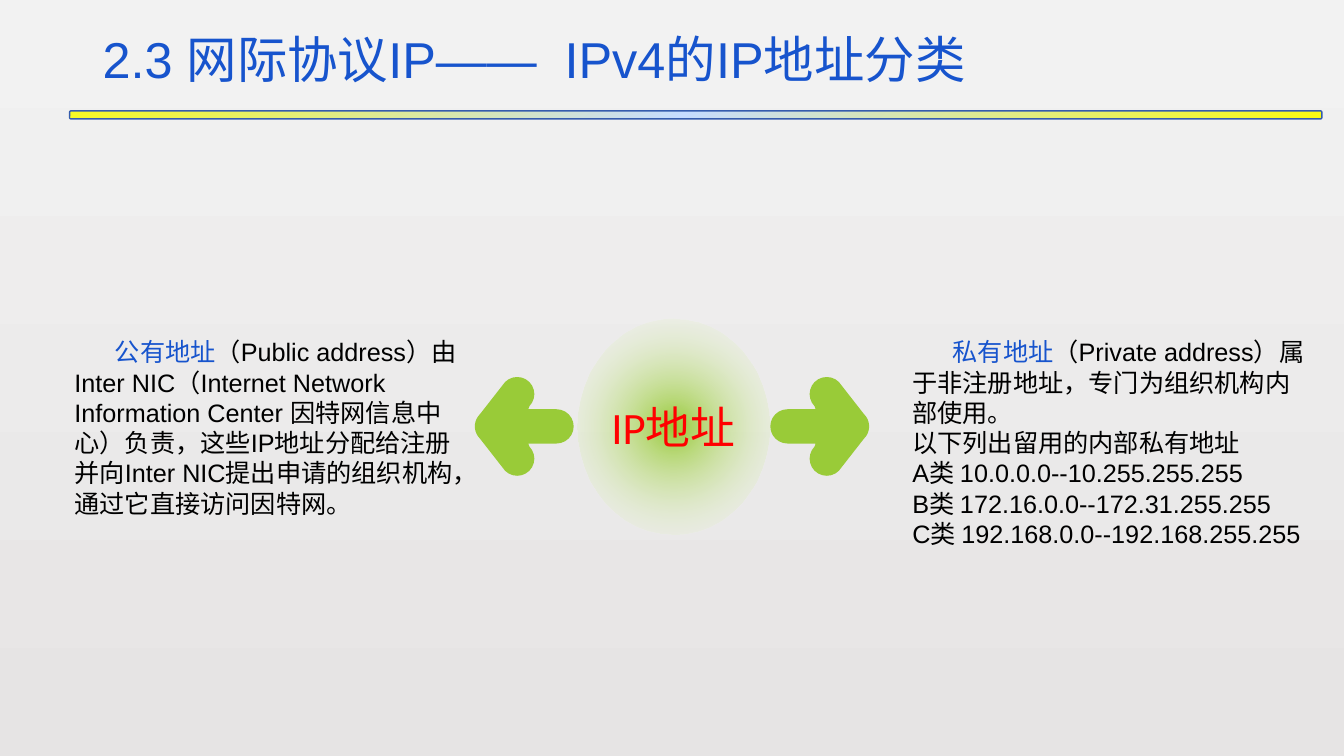
from dataclasses import dataclass
from math import cos, radians, sin

from lxml.etree import SubElement
from pptx import Presentation
from pptx.dml.color import RGBColor
from pptx.enum.shapes import MSO_SHAPE
from pptx.enum.text import MSO_ANCHOR, MSO_AUTO_SIZE, PP_ALIGN
from pptx.oxml.ns import qn
from pptx.shapes.autoshape import Shape
from pptx.slide import Slide
from pptx.text.text import Font
from pptx.util import Inches, Pt

COLORS = {
    "blue": "1754CD",
    "black": "000000",
    "red": "FF0000",
    "green": "99CB38",
    "white": "FFFFFF",
    "edge": "355CAD",
    "left": "FBFB11",
    "middle": "C6DCFF",
    "right": "F7F923",
    "top": "F2F2F2",
    "base": "E6E4E4",
}


@dataclass
class Box:
    left: float
    top: float
    width: float
    height: float

    def place(self) -> list[int]:
        return [Inches(v) for v in (self.left, self.top, self.width, self.height)]


@dataclass
class Stop:
    at: int
    color: str
    alpha: int = 100


@dataclass
class Note:
    box: Box
    term: str
    lines: list[str]


@dataclass
class Arrow:
    mid: float
    way: int


NOTES = [
    Note(
        Box(0.64, 3.29, 3.99, 1.92),
        "公有地址",
        [
            "（Public address）由Inter NIC（Internet Network Information Center "
            "因特网信息中心）负责，这些IP地址分配给注册并向Inter NIC提出申请的组织机构，"
            "通过它直接访问因特网。"
        ],
    ),
    Note(
        Box(8.95, 3.29, 4.15, 2.22),
        "私有地址",
        [
            "（Private address）属于非注册地址，专门为组织机构内部使用。",
            "以下列出留用的内部私有地址",
            "A类 10.0.0.0--10.255.255.255",
            "B类 172.16.0.0--172.31.255.255",
            "C类 192.168.0.0--192.168.255.255",
        ],
    ),
]
ARROWS = [Arrow(8.13, 1), Arrow(5.2, -1)]
ARROW_Y = 4.23


def paint(name: str) -> RGBColor:
    return RGBColor.from_string(COLORS[name])


def style(font: Font, size: int, color: str, face: str = "Arial") -> None:
    font.size = Pt(size)
    font.name = face
    font.color.rgb = paint(color)


def blend(shape: Shape, stops: list[Stop], focus: dict[str, int]) -> None:
    shape.fill.gradient()
    grad = shape._element.spPr.find(qn("a:gradFill"))
    for child in list(grad):
        grad.remove(child)
    group = SubElement(grad, qn("a:gsLst"))
    for stop in stops:
        mark = SubElement(group, qn("a:gs"), pos=str(stop.at * 1000))
        tint = SubElement(mark, qn("a:srgbClr"), val=COLORS[stop.color])
        if stop.alpha < 100:
            SubElement(tint, qn("a:alpha"), val=str(stop.alpha * 1000))
    path = SubElement(grad, qn("a:path"), path="circle")
    sides = {side: str(part * 1000) for side, part in focus.items()}
    SubElement(path, qn("a:fillToRect"), **sides)


def draw_arrow(slide: Slide, arrow: Arrow) -> None:
    reach, lobe, neck, curve = 0.32, 0.07, 0.04, 0.17
    arcs = [
        (-reach, 0, 90, 270),
        (lobe, -reach, 135, 315),
        (reach, 0, -45, 45),
        (lobe, reach, 45, 225),
    ]
    spots = []
    for x, y, start, end in arcs:
        for step in range(13):
            turn = radians(start + (end - start) * step / 12)
            spots.append((x + curve * cos(turn), y + curve * sin(turn)))
    spots.insert(13, (-neck, -curve))
    spots.append((-neck, curve))
    points = [
        (Inches(arrow.mid + arrow.way * x), Inches(ARROW_Y + y)) for x, y in spots
    ]
    form = slide.shapes.build_freeform(*points[0])
    form.add_line_segments(points[1:], close=True)
    shape = form.convert_to_shape()
    shape.shadow.inherit = False
    shape.fill.solid()
    shape.fill.fore_color.rgb = paint("green")
    shape.line.fill.background()


def draw_hub(slide: Slide, box: Box) -> None:
    hub = slide.shapes.add_shape(MSO_SHAPE.OVAL, *box.place())
    hub.shadow.inherit = False
    hub.line.fill.background()
    blend(hub, [Stop(0, "green"), Stop(100, "white", 0)], dict(l=50, t=50, r=50, b=50))
    frame = hub.text_frame
    frame.margin_left = frame.margin_right = frame.margin_top = frame.margin_bottom = 0
    frame.vertical_anchor = MSO_ANCHOR.MIDDLE
    frame.text = "IP地址"
    frame.paragraphs[0].alignment = PP_ALIGN.CENTER
    style(frame.paragraphs[0].runs[0].font, 32, "red", "Calibri")


def draw_note(slide: Slide, note: Note) -> None:
    frame = slide.shapes.add_textbox(*note.box.place()).text_frame
    frame.word_wrap = True
    frame.auto_size = MSO_AUTO_SIZE.SHAPE_TO_FIT_TEXT
    frame.text = "\n".join([note.term, *note.lines[1:]])
    first = frame.paragraphs[0]
    first.add_run().text = note.lines[0]
    first._p.get_or_add_pPr().set("indent", str(Inches(0.4)))
    for para in frame.paragraphs:
        for run in para.runs:
            style(run.font, 18, "black")
    first.runs[0].font.color.rgb = paint("blue")


def draw_bar(slide: Slide, box: Box) -> None:
    bar = slide.shapes.add_shape(MSO_SHAPE.ROUNDED_RECTANGLE, *box.place())
    bar.shadow.inherit = False
    stops = [Stop(0, "left"), Stop(51, "middle"), Stop(100, "right")]
    blend(bar, stops, dict(l=100, t=100))
    bar.line.color.rgb = paint("edge")
    bar.line.width = Pt(1)


def draw_title(slide: Slide, box: Box) -> None:
    frame = slide.shapes.add_textbox(*box.place()).text_frame
    frame.word_wrap = True
    frame.vertical_anchor = MSO_ANCHOR.BOTTOM
    frame.text = "2.3 网际协议IP——  IPv4的IP地址分类"
    frame.paragraphs[0].line_spacing = 0.9
    style(frame.paragraphs[0].runs[0].font, 36, "blue")


def main() -> None:
    deck = Presentation()
    deck.slide_width = Inches(13.33)
    deck.slide_height = Inches(7.5)
    slide = deck.slides.add_slide(deck.slide_layouts[6])
    back = slide.background.fill
    back.gradient()
    back.gradient_angle = 270
    for stop, name in zip(back.gradient_stops, ("top", "base")):
        stop.color.rgb = paint(name)
    for arrow in ARROWS:
        draw_arrow(slide, arrow)
    draw_hub(slide, Box(5.73, 3.16, 1.9, 2.14))
    for note in NOTES:
        draw_note(slide, note)
    draw_bar(slide, Box(0.69, 1.1, 12.42, 0.08))
    draw_title(slide, Box(0.92, 0.07, 11.5, 0.87))
    deck.save("out.pptx")


if __name__ == "__main__":
    main()
